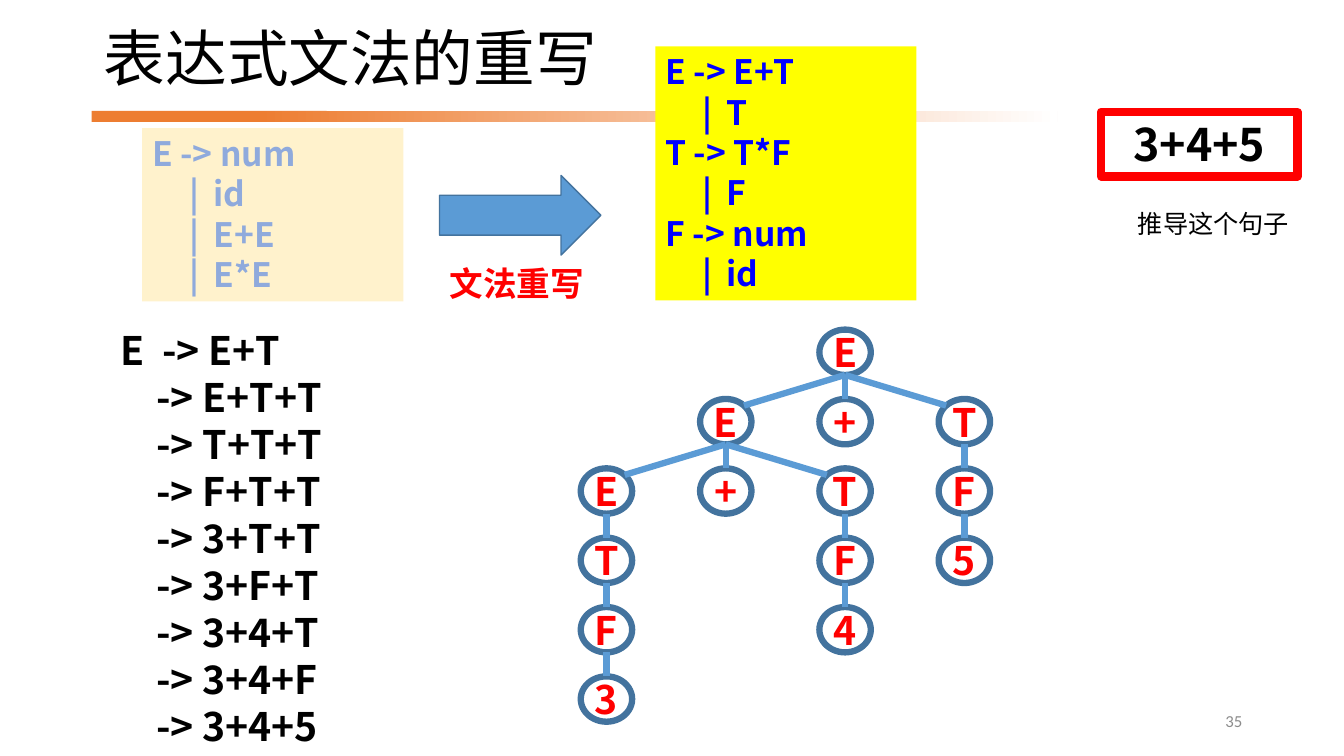
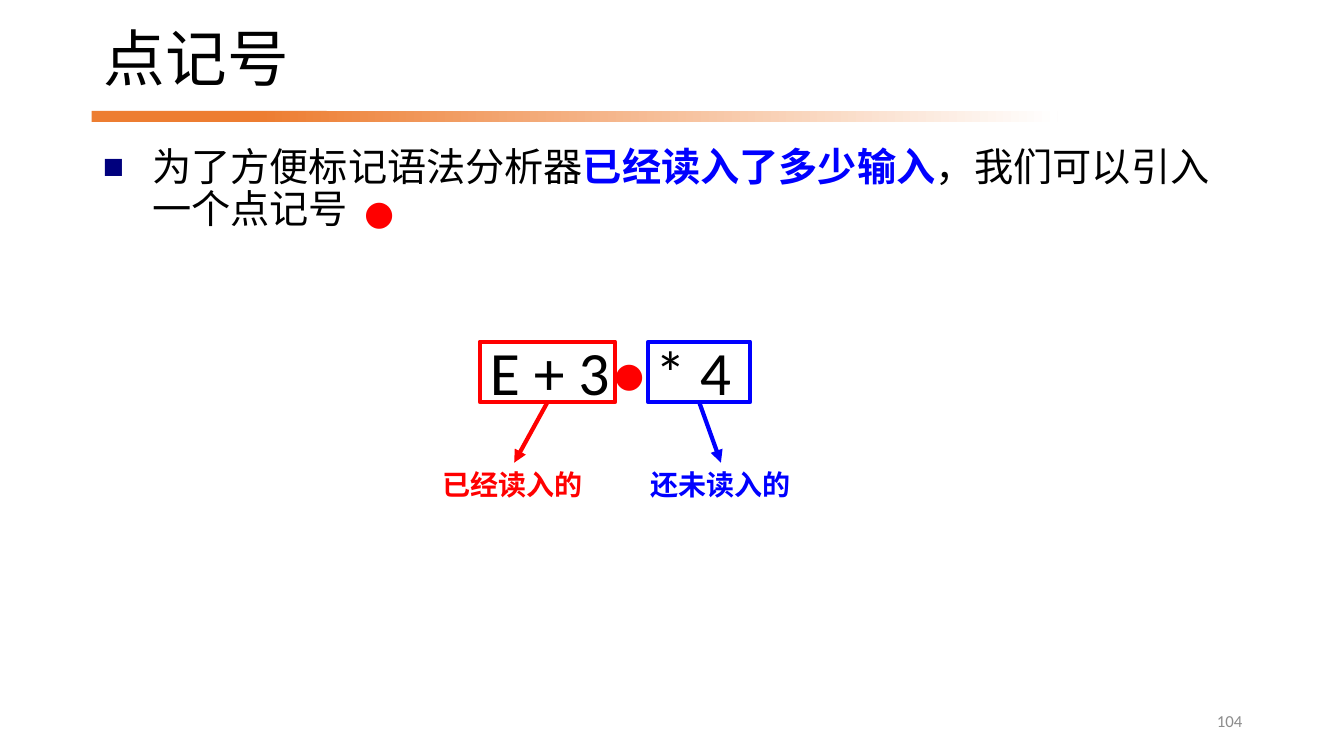
from pptx import Presentation
from pptx import util as u
from pptx.dml.color import RGBColor
from pptx.enum import shapes, text
from pptx.oxml import parse_xml
from pptx.oxml.ns import nsdecls, qn

# Shared look; lengths are grid cells, ten to the inch
WIDE, HIGH = 133.3, 75
BLACK = RGBColor(0x00, 0x00, 0x00)
WHITE = RGBColor(0xFF, 0xFF, 0xFF)
RED = RGBColor(0xFF, 0x00, 0x00)
BLUE = RGBColor(0x00, 0x00, 0xFF)
GREY = RGBColor(0x8C, 0x8C, 0x8C)
ORANGE = RGBColor(0xED, 0x7D, 0x31)
CREAM = RGBColor(0xFF, 0xF2, 0xCC)
YELLOW = RGBColor(0xFF, 0xFF, 0x00)
PALE = RGBColor(0x8F, 0xAA, 0xDC)
SKY = RGBColor(0x5B, 0x9B, 0xD5)
STEEL = RGBColor(0x43, 0x73, 0x9E)
NOTO, ARIAL, LATIN = "Noto Sans CJK SC", "Arial", "Calibri"
LEFT, MID, RIGHT = text.PP_ALIGN.LEFT, text.PP_ALIGN.CENTER, text.PP_ALIGN.RIGHT
RECT, OVAL = shapes.MSO_SHAPE.RECTANGLE, shapes.MSO_SHAPE.OVAL
LEAD = 1.2


def cells(*nums):
    return [u.Emu(round(n * 91440)) for n in nums]


def put(par, words, size, color=BLACK, face=NOTO, bold=False):
    """Add one run."""
    run = par.add_run()
    run.text = words
    font = run.font
    font.size, font.bold, font.name = u.Pt(size), bold, face
    font.color.rgb = color
    props = run._r.get_or_add_rPr()
    props.set("lang", "zh-CN")
    east = LATIN if face == ARIAL else face
    font_tag = parse_xml(f'<a:ea {nsdecls("a")} typeface="{east}"/>')
    props.find(qn("a:latin")).addnext(font_tag)


def hang(par, left, first=0):
    """Set the left margin and first-line indent in cells."""
    props = par._p.get_or_add_pPr()
    props.set("marL", str(cells(left)[0]))
    props.set("indent", str(cells(first)[0]))


def write(shape, lines, size, color=BLACK, face=NOTO, bold=False,
          align=LEFT, anchor=text.MSO_ANCHOR.TOP):
    """Fill a shape with lines, each (words, margin, first indent)."""
    frame = shape.text_frame
    frame.word_wrap, frame.vertical_anchor = True, anchor
    for i, (words, left, first) in enumerate(lines):
        par = frame.add_paragraph() if i else frame.paragraphs[0]
        par.alignment = align
        if left:
            hang(par, left, first)
        if face == NOTO:
            par.line_spacing = u.Pt(size * LEAD)
        put(par, words, size, color, face, bold)
    return shape


def label(page, box, words, size, **style):
    shape = page.shapes.add_textbox(*cells(*box))
    return write(shape, [(words, 0, 0)], size, **style)


def block(page, kind, box, fill=None, edge=None, thick=1):
    shape = page.shapes.add_shape(kind, *cells(*box))
    shape.shadow.inherit = False
    if fill is None:
        shape.fill.background()
    else:
        shape.fill.solid()
        shape.fill.fore_color.rgb = fill
    if edge is None:
        shape.line.fill.background()
    else:
        shape.line.color.rgb, shape.line.width = edge, u.Pt(thick)
    return shape


def link(page, start, end, color, thick, arrow=False):
    line = page.shapes.add_connector(
        shapes.MSO_CONNECTOR.STRAIGHT, *cells(*start, *end))
    line.line.color.rgb, line.line.width = color, u.Pt(thick)
    if arrow:
        tip = parse_xml(f'<a:tailEnd {nsdecls("a")} type="triangle"/>')
        line.line._get_or_add_ln().append(tip)
    line._element.spPr.append(parse_xml(f'<a:effectLst {nsdecls("a")}/>'))


# Title, band and page number
def start(deck, layout, title, number):
    page = deck.slides.add_slide(deck.slide_layouts[layout])
    block(page, RECT, (9.1, 11, 23.3, 1.1), ORANGE)
    fade = block(page, RECT, (25.7, 11, 79.2, 1.1), WHITE)
    fade.fill.gradient()
    fade.fill.gradient_angle = 0
    for stop, color in zip(fade.fill.gradient_stops, (ORANGE, WHITE)):
        stop.color.rgb = color
    head = page.shapes.title
    head.left, head.top, head.width, head.height = cells(9.3, 1.7, 111.4, 8.9)
    write(head, [(title, 0, 0)], 44, face=ARIAL, anchor=text.MSO_ANCHOR.MIDDLE)
    head.text_frame.paragraphs[0].line_spacing = 0.9
    head.text_frame.auto_size = text.MSO_AUTO_SIZE.NONE
    label(page, (94.2, 69.5, 30, 4), number, 12, color=GREY, face=LATIN,
          align=RIGHT, anchor=text.MSO_ANCHOR.MIDDLE)
    return page


# Grammar rules on a coloured panel; later choices hang after a bar
def rules(page, box, fill, color, lines):
    rows = [("|\t" + s[1:], 6.1, -2.4) if s[0] == "|" else (s, 0, 0)
            for s in lines]
    write(block(page, RECT, box, fill), rows, 24, color, bold=True)


# Derivation steps, arrows under each other
def steps(page, box, root, forms):
    rows = [(f"{root}\t-> {forms[0]}", 9.1, -4.1)]
    rows += [("-> " + form, 8.5, 0) for form in forms[1:]]
    write(page.shapes.add_textbox(*cells(*box)), rows, 28, bold=True)


# Parse tree: each node is (letter, column, row, parent index)
def tree(page, box, nodes):
    x, y, w, h = box
    wide, high = 5.1, 4.5
    across = (w - wide) / max(n[1] for n in nodes)
    down = (h - high) / max(n[2] for n in nodes)
    spots = [(x + col * across + wide / 2, y + row * down + high / 2)
             for _, col, row, _ in nodes]
    for (mark, *_), (cx, cy) in zip(nodes, spots):
        node = block(page, OVAL, (cx - wide / 2, cy - high / 2, wide, high),
                     WHITE, STEEL, 4.5)
        write(node, [(mark, 0, 0)], 28, RED, bold=True, align=MID,
              anchor=text.MSO_ANCHOR.MIDDLE)
        frame = node.text_frame
        frame.word_wrap = False
        frame.margin_left = frame.margin_right = 0
        frame.margin_top = frame.margin_bottom = 0
    for (_, col, _, up), (cx, cy) in zip(nodes, spots):
        if up is None:
            continue
        px, py = spots[up]
        side = (nodes[up][1] > col) - (nodes[up][1] < col)
        rise = 0.71 if side else 1
        end = (cx + side * 0.71 * wide / 2, cy - rise * high / 2)
        link(page, (px, py + high / 2), end, SKY, 4.5)


def rewrite(deck):
    page = start(deck, 5, "表达式文法的重写", "35")
    rules(page, (14.1, 12.7, 25.9, 17.2), CREAM, PALE,
          ["E -> num", "|id", "|E+E", "|E*E"])
    rules(page, (65, 4.6, 25.9, 25.2), YELLOW, BLUE,
          ["E -> E+T", "|T", "T -> T*F", "|F", "F -> num", "|id"])
    block(page, shapes.MSO_SHAPE.RIGHT_ARROW, (43.6, 17.4, 16, 7.9), SKY, STEEL)
    label(page, (43.6, 25.6, 16, 5), "文法重写", 24, color=RED, bold=True)
    goal = block(page, RECT, (109.2, 11.1, 19.5, 6.4), edge=RED, thick=6)
    write(goal, [("3+4+5", 0, 0)], 32, bold=True, align=MID)
    label(page, (110.6, 20.2, 19.5, 4), "推导这个句子", 18, align=MID)
    steps(page, (6, 31.9, 31, 43), "E",
          ["E+T", "E+T+T", "T+T+T", "F+T+T", "3+T+T", "3+F+T",
           "3+4+T", "3+4+F", "3+4+5"])
    tree(page, (57.6, 32.7, 40.6, 38.9), [
        ("E", 2, 0, None), ("E", 1, 1, 0), ("+", 2, 1, 0), ("T", 3, 1, 0),
        ("E", 0, 2, 1), ("+", 1, 2, 1), ("T", 2, 2, 1), ("F", 3, 2, 3),
        ("T", 0, 3, 4), ("F", 2, 3, 6), ("5", 3, 3, 7),
        ("F", 0, 4, 8), ("4", 2, 4, 9), ("3", 0, 5, 11)])


# Bulleted sentence with one strong phrase
def point(page, box, parts):
    body = page.placeholders[1]
    body.left, body.top, body.width, body.height = cells(*box)
    par = body.text_frame.paragraphs[0]
    hang(par, 4.9, -4.9)
    par.line_spacing, par.space_before = 0.9, u.Pt(0)
    for tag in ('buClr><a:srgbClr val="00007D"/></a:buClr', 'buSzPct val="90000"/',
                'buFont typeface="Arial"/', 'buChar char="■"/'):
        xml = f"<a:{tag}>".replace("<a:bu", f"<a:bu", 1)
        name = tag.split(">")[0].split(" ")[0]
        xml = xml.replace(f"<a:{name}", f"<a:{name} {nsdecls('a')}", 1)
        par._p.get_or_add_pPr().append(parse_xml(xml))
    for words, color, bold in parts:
        put(par, words, 28, color, ARIAL, bold)


def dot(page, x, y):
    label(page, (x, y, 5.1, 8.4), "•", 44, color=RED, face=LATIN, bold=True)


# Frame round part of the input, with an arrow to its caption
def zone(page, box, color, words, tip, left):
    x, y, w, h = box
    block(page, RECT, box, edge=color, thick=3)
    link(page, (x + w / 2, y + h), (tip, y + h + 6), color, 3, True)
    label(page, (left, y + h + 6, 16.1, 4.4), words, 20, color=color, bold=True)


def marker(deck):
    page = start(deck, 1, "点记号", "104")
    point(page, (9.2, 14.1, 115, 53.7), [
        ("为了方便标记语法分析器", BLACK, False),
        ("已经读入了多少输入", BLUE, True),
        ("，我们可以引入一个点记号", BLACK, False)])
    dot(page, 35.1, 16.6)
    feed = page.shapes.add_textbox(*cells(47.6, 32.6, 34.7, 8.4))
    write(feed, [("E + 3\t* 4", 16.4, -16.4)], 44, face=LATIN)
    dot(page, 59.9, 32.6)
    zone(page, (47.6, 33.9, 13.4, 6), RED, "已经读入的", 51, 42.9)
    zone(page, (64.3, 33.9, 10.1, 6), BLUE, "还未读入的", 71.5, 63.5)


def main():
    deck = Presentation()
    deck.slide_width, deck.slide_height = cells(WIDE, HIGH)
    rewrite(deck)
    marker(deck)
    deck.save("out.pptx")


if __name__ == "__main__":
    main()
